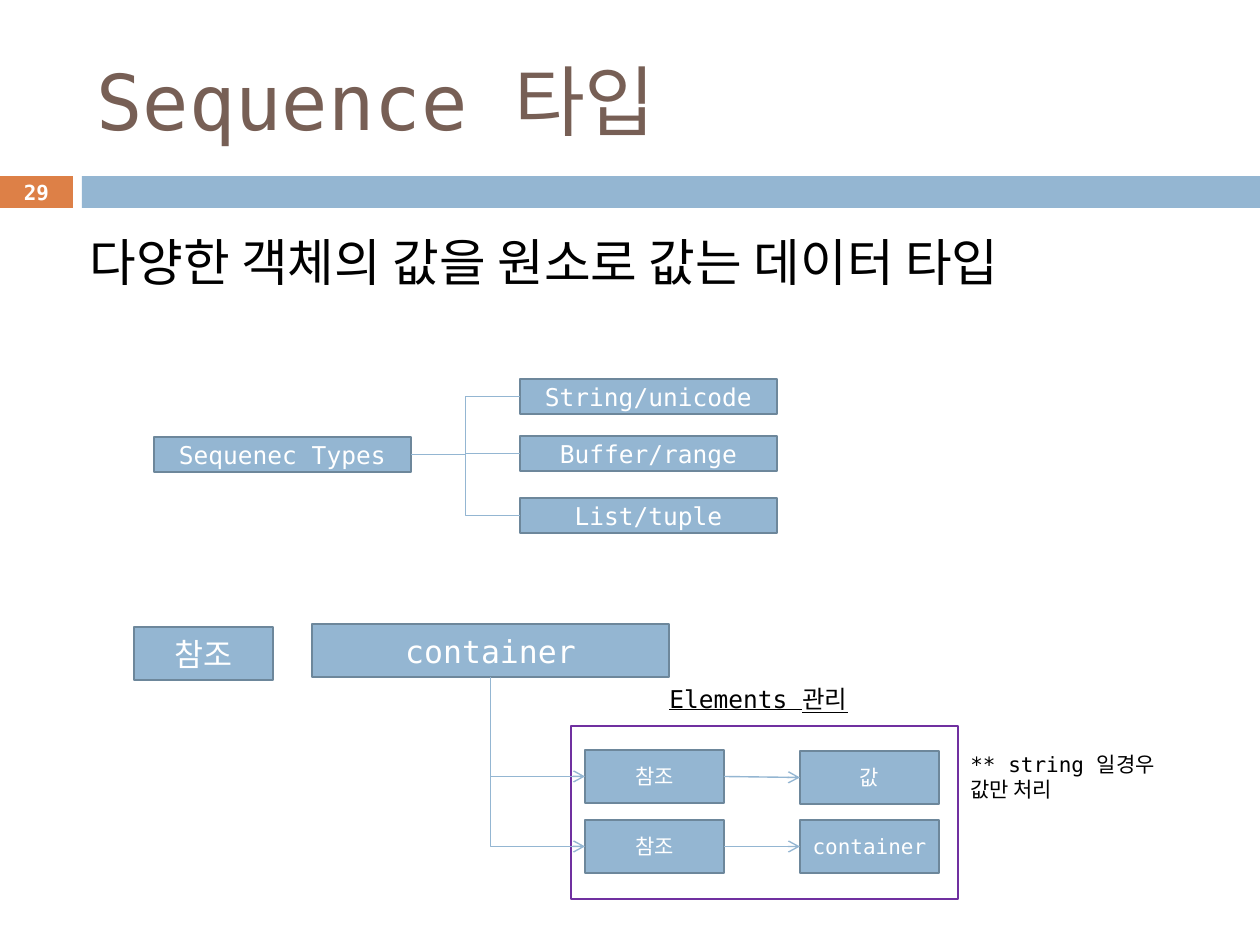
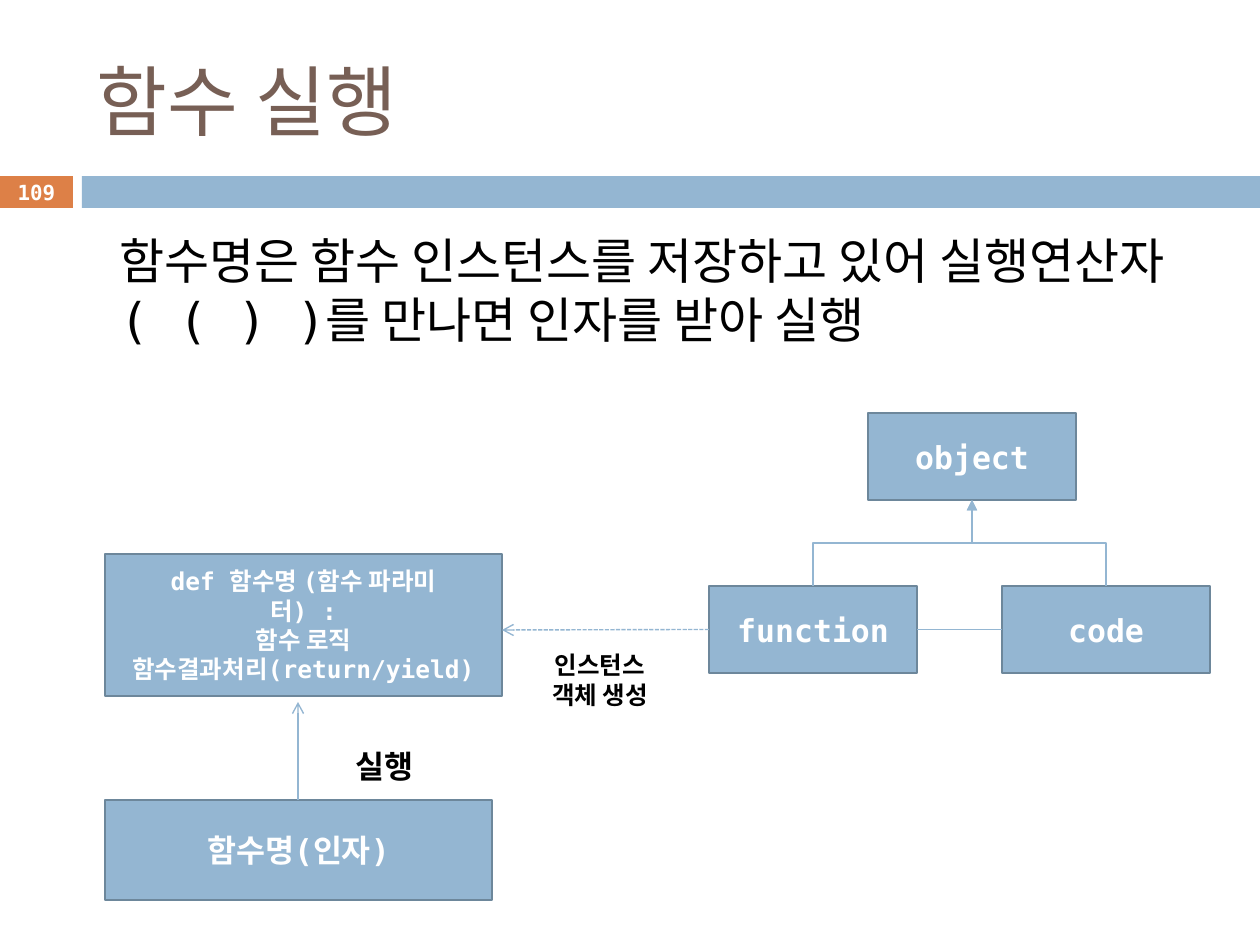
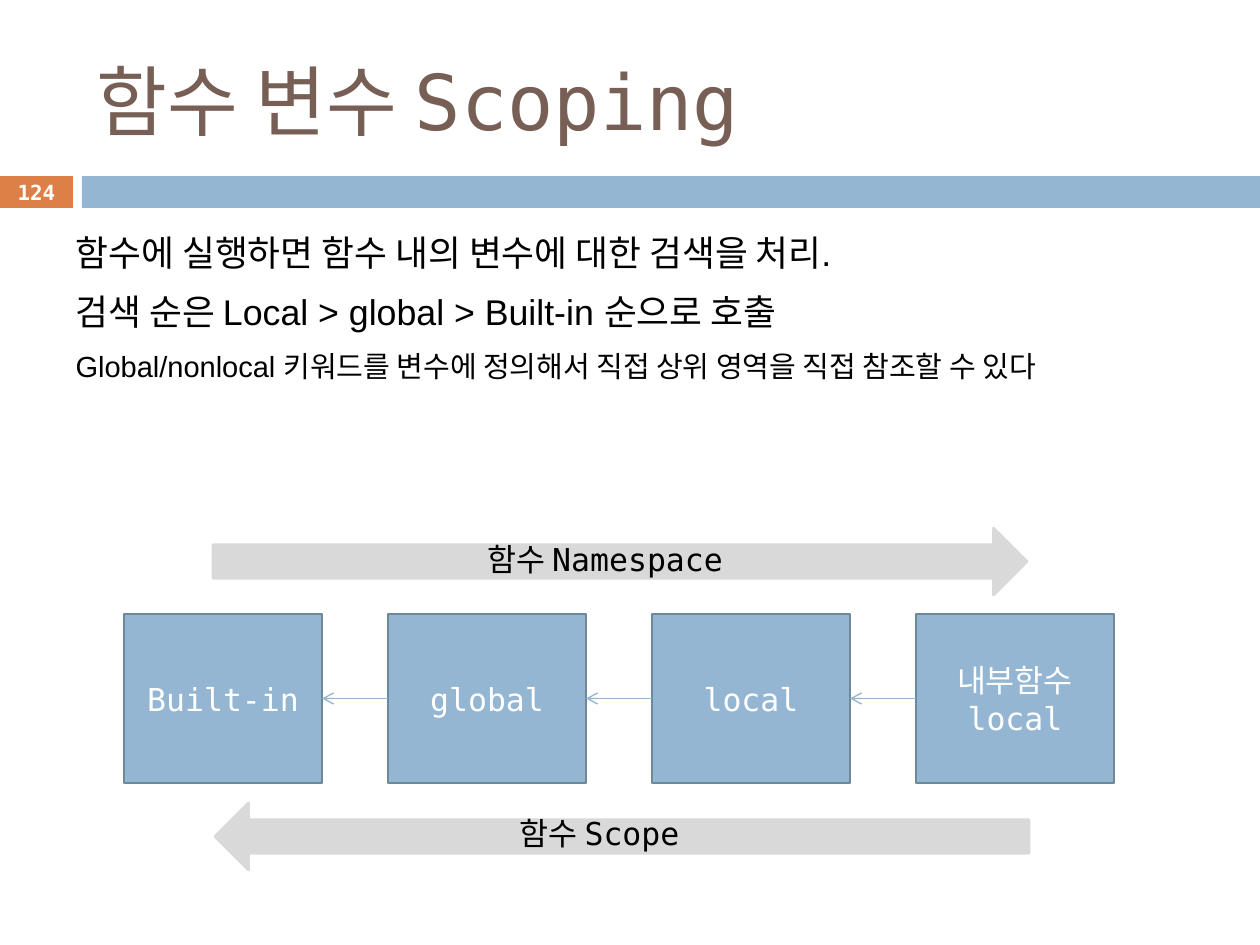
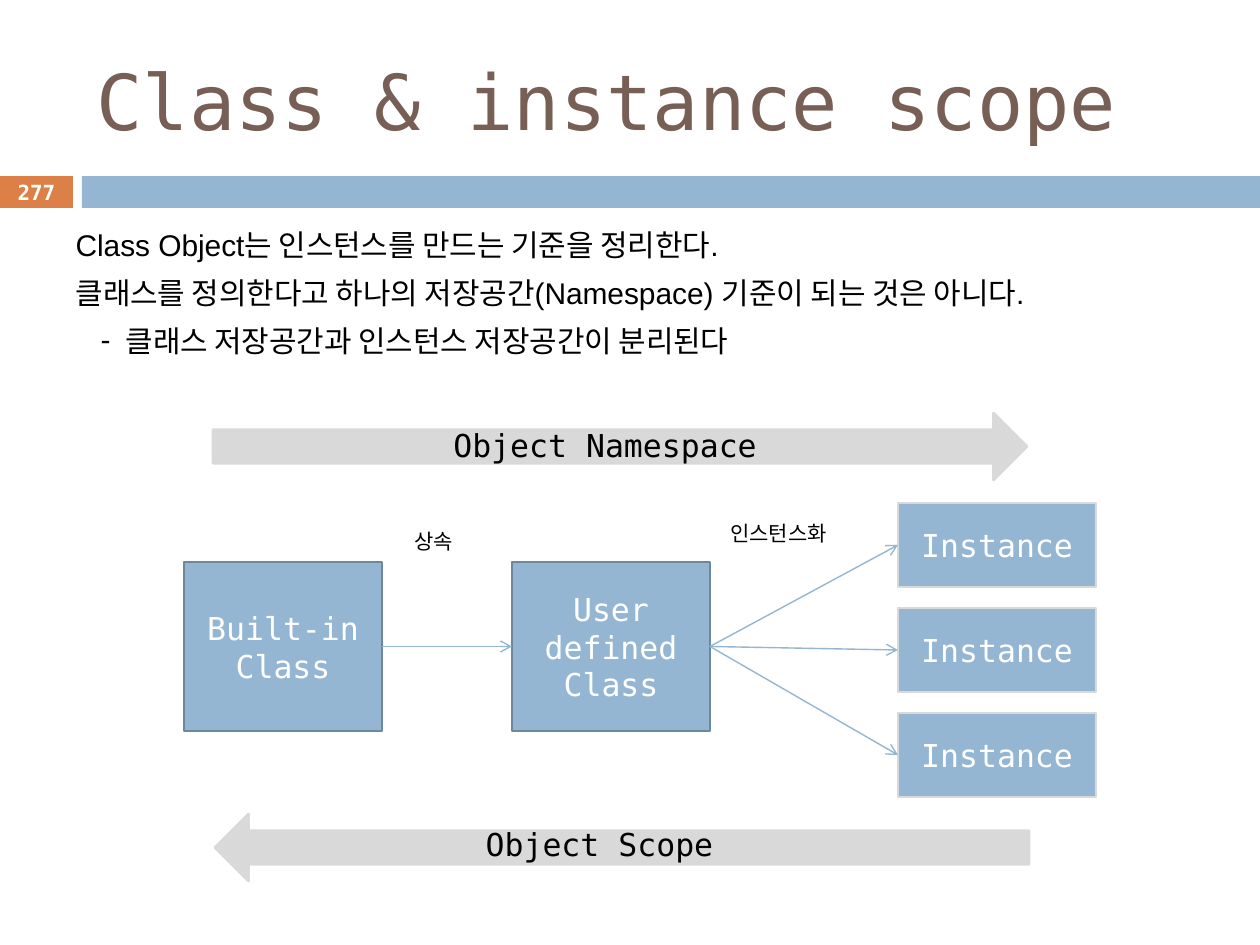
from lxml import etree
from pptx import Presentation
from pptx.dml.color import RGBColor
from pptx.enum.dml import MSO_LINE
from pptx.enum.shapes import MSO_CONNECTOR, MSO_SHAPE
from pptx.enum.text import MSO_ANCHOR, MSO_AUTO_SIZE, PP_ALIGN
from pptx.oxml.ns import qn
from pptx.util import Emu, Pt

RECT, ARROW = MSO_SHAPE.RECTANGLE, MSO_SHAPE.RIGHT_ARROW
STRAIGHT, ELBOW = MSO_CONNECTOR.STRAIGHT, MSO_CONNECTOR.ELBOW
LEFT, CENTER = PP_ALIGN.LEFT, PP_ALIGN.CENTER
TOP, MIDDLE = MSO_ANCHOR.TOP, MSO_ANCHOR.MIDDLE
NO_FIT, DASHED = MSO_AUTO_SIZE.NONE, MSO_LINE.SQUARE_DOT

BLUE = RGBColor(0x94, 0xB6, 0xD2)
EDGE = RGBColor(0x6D, 0x87, 0x9B)
ORANGE = RGBColor(0xDD, 0x80, 0x47)
BROWN = RGBColor(0x77, 0x5F, 0x55)
GREY = RGBColor(0xD9, 0xD9, 0xD9)
PURPLE = RGBColor(0x70, 0x30, 0xA0)
WHITE = RGBColor(0xFF, 0xFF, 0xFF)
BLACK = RGBColor(0, 0, 0)
MONO, SANS = "DejaVu Sans Mono", "Arial"

# Lengths are px, 126 to the inch
SCALE = 914400 / 126
PAGE_SIZE = (1260, 945)
BANDS = [((0, 176, 73, 32), ORANGE), ((82, 176, 1178, 32), BLUE)]
TITLE_RECT = (84, 32, 1124, 136)
NUMBER_RECT = (0, 175, 73, 34)
SIDES = {"top": (0.5, 0), "left": (0, 0.5), "bottom": (0.5, 1), "right": (1, 0.5)}


# ---- Content ----
# body: (text, size, left margin, bullet)
# boxes: name -> (text, rect, size, format)
# links: (start, end, format), an end being (box, side) or a point
# labels: (text, rect, size, alignment, format)
def scope_arrows(top, bottom):
    return [((213, top, 814, 67), 0), ((215, bottom, 814, 67), 180)]


def scope_labels(subject, top, bottom):
    return [(f"{subject} Scope", (461, bottom, 277, 50), 18, CENTER, {}),
            (f"{subject} Namespace", (382, top, 446, 50), 18, CENTER, {})]


HEAD, BOLD = {"head": "arrow"}, {"bold": True}
DOWN = {"bend": "bentConnector2", "turned": True, "head": "arrow"}
UP = {"bend": "bentConnector3", "turned": True, "head": "triangle"}
ACROSS = {"bend": "bentConnector3"}
SCOPES = ["Built-in", "global", "local", "내부함수\nlocal"]

SEQUENCE = {
    "number": 29, "title": "Sequence 타입",
    "body_rect": (63, 224, 1134, 164), "body_font": MONO,
    "body": [("다양한 객체의 값을 원소로 값는 데이터 타입", 29, 14, None)],
    "boxes": {
        "types": ("Sequenec Types", (154, 437, 257, 35), 14, {}),
        "string": ("String/unicode", (520, 379, 257, 35), 14, {}),
        "buffer": ("Buffer/range", (520, 436, 257, 35), 14, {}),
        "list": ("List/tuple", (520, 498, 257, 35), 14, {}),
        "reference": ("참조", (134, 627, 139, 53), 18, {}),
        "container": ("container", (312, 624, 357, 53), 18, {}),
        "reference 1": ("참조", (585, 750, 139, 53), 12, {}),
        "reference 2": ("참조", (585, 820, 139, 53), 12, {}),
        "value 1": ("값", (800, 751, 139, 53), 12, {}),
        "value 2": ("container", (800, 820, 139, 53), 12, {}),
        "elements": ("", (571, 726, 387, 173), 12, {"fill": None, "edge": PURPLE}),
    },
    "links":
        [(("types", "right"), (kind, "left"), ACROSS)
         for kind in ("string", "buffer", "list")]
        + [(("container", "bottom"), (f"reference {row}", "left"), DOWN) for row in (1, 2)]
        + [((f"reference {row}", "right"), (f"value {row}", "left"), HEAD) for row in (1, 2)],
    "labels": [
        ("** string 일경우 값만 처리", (958, 745, 248, 63), 12, LEFT, {}),
        ("Elements 관리", (620, 678, 277, 43), 14, CENTER, {"underline": True}),
    ],
}

FUNCTION_CALL = {
    "number": 109, "title": "함수 실행",
    "body_rect": (63, 224, 1134, 179), "body_font": MONO,
    "body": [("함수명은 함수 인스턴스를 저장하고 있어 실행연산자( ( ) )를 만나면 인자를 받아 실행",
              28, 44, None)],
    "boxes": {
        "call": ("함수명(인자)", (105, 800, 387, 100), 18, BOLD),
        "definition": ("def 함수명 (함수 파라미\n터) :\n함수 로직\n함수결과처리(return/yield)",
                       (105, 554, 397, 142), 14, BOLD),
        "object": ("object", (868, 413, 208, 87), 18, BOLD),
        "function": ("function", (709, 586, 208, 87), 18, BOLD),
        "code": ("code", (1002, 586, 208, 87), 18, BOLD),
    },
    "links": [
        (("function", "top"), ("object", "bottom"), UP),
        (("code", "top"), ("object", "bottom"), UP),
        (("function", "right"), ("code", "left"), {}),
        (("function", "left"), (502, 630), {"head": "arrow", "dash": DASHED}),
        ((298, 800), (298, 702), HEAD),
    ],
    "labels": [
        ("인스턴스\n객체 생성", (491, 644, 218, 72), 14, CENTER, BOLD),
        ("실행", (343, 741, 129, 50), 18, LEFT, BOLD),
    ],
}

VARIABLE_SCOPE = {
    "number": 124, "title": "함수 변수 Scoping",
    "body_rect": (63, 220, 1134, 172), "body_font": SANS, "line_spacing": 1.1,
    "body": [
        ("함수에 실행하면 함수 내의 변수에 대한 검색을 처리.", 20.4, 0, None),
        ("검색 순은 Local > global > Built-in 순으로 호출", 20.4, 0, None),
        ("Global/nonlocal 키워드를 변수에 정의해서 직접 상위 영역을 직접 참조할 수 있다",
         16.6, 0, None),
    ],
    "arrows": scope_arrows(528, 803),
    "boxes": {place: (text, (124 + 264 * place, 614, 198, 169), 18, {})
              for place, text in enumerate(SCOPES)},
    "links": [((place, "left"), (place - 1, "right"), HEAD)
              for place in range(1, len(SCOPES))],
    "labels": scope_labels("함수", 534, 808),
}

CLASS_SCOPE = {
    "number": 277, "title": "Class & instance scope",
    "body_rect": (63, 220, 1134, 172), "body_font": SANS,
    "body": [
        ("Class Object는 인스턴스를 만드는 기준을 정리한다.", 17.1, 0, None),
        ("클래스를 정의한다고 하나의 저장공간(Namespace) 기준이 되는 것은 아니다.",
         17.1, 0, None),
        ("클래스 저장공간과 인스턴스 저장공간이 분리된다", 17.1, 50, "-"),
    ],
    "arrows": scope_arrows(413, 814),
    "boxes": {
        "built-in": ("Built-in\nClass", (184, 562, 198, 169), 18, {}),
        "user": ("User defined\nClass", (512, 562, 198, 169), 18, {}),
        **{row: ("Instance", (898, 503 + 105 * row, 198, 84), 18, {"edge": GREY})
           for row in range(3)},
    },
    "links": [(("built-in", "right"), ("user", "left"), HEAD)]
        + [(("user", "right"), (row, "left"), HEAD) for row in range(3)],
    "labels": [
        ("상속", (402, 522, 110, 38), 12, LEFT, {}),
        ("인스턴스화", (718, 514, 150, 38), 12, LEFT, {}),
        *scope_labels("Object", 420, 819),
    ],
}

PAGES = [SEQUENCE, FUNCTION_CALL, VARIABLE_SCOPE, CLASS_SCOPE]


# ---- Helpers ----
def emu(*lengths):
    return [Emu(round(length * SCALE)) for length in lengths]


def move(box, rect):
    box.left, box.top, box.width, box.height = emu(*rect)


def style(span, size, color, name=MONO, **extra):
    span.font.color.rgb = color
    for key, value in {"size": Pt(size), "name": name, **extra}.items():
        setattr(span.font, key, value)


def write(box, text, size, color, align=CENTER, anchor=MIDDLE, **extra):
    frame = box.text_frame
    frame.text = text
    for key, value in {"word_wrap": True, "auto_size": NO_FIT,
                       "vertical_anchor": anchor}.items():
        setattr(frame, key, value)
    for para in frame.paragraphs:
        para.alignment = align
        for span in para.runs:
            style(span, size, color, **extra)


def add_block(page, kind, rect, fill, edge=None):
    block = page.shapes.add_shape(kind, *emu(*rect))
    block.shadow.inherit = False
    if fill is None:
        block.fill.background()
    else:
        block.fill.solid()
        block.fill.fore_color.rgb = fill
    if edge is None:
        block.line.fill.background()
    else:
        block.line.color.rgb = edge
        block.line.width = Pt(1.5)
    return block


def add_box(page, text, rect, size, fill=BLUE, edge=EDGE, **extra):
    box = add_block(page, RECT, rect, fill, edge)
    if text:
        write(box, text, size, WHITE, **extra)


def add_label(page, text, rect, size, align, anchor=TOP, color=BLACK, **extra):
    box = page.shapes.add_textbox(*emu(*rect))
    write(box, text, size, color, align, anchor, **extra)


def locate(boxes, end):
    name, side = end
    if side not in SIDES:
        return end
    left, top, width, height = boxes[name][1]
    across, down = SIDES[side]
    return left + across * width, top + down * height


def add_link(page, start, end, bend=None, turned=False, head=None, dash=None):
    (x0, y0), (x1, y1) = start, end
    if turned:
        # Frame before the quarter turn that makes the elbow leave vertically
        mid_x, mid_y, half_x, half_y = (x0 + x1) / 2, (y0 + y1) / 2, (x1 - x0) / 2, (y1 - y0) / 2
        x0, y0, x1, y1 = mid_x + half_y, mid_y - half_x, mid_x - half_y, mid_y + half_x
    link = page.shapes.add_connector(ELBOW if bend else STRAIGHT, *emu(x0, y0, x1, y1))
    link.line.color.rgb = BLUE
    link.line.width = Pt(0.79)
    if dash:
        link.line.dash_style = dash
    props = link.element.spPr
    if bend:
        props.find(qn("a:prstGeom")).set("prst", bend)
    if turned:
        props.find(qn("a:xfrm")).set("rot", str(270 * 60000))
    if head:
        etree.SubElement(props.find(qn("a:ln")), qn("a:tailEnd"), type=head)
    etree.SubElement(props, qn("a:effectLst"))


def fill_body(body, content):
    move(body, content["body_rect"])
    lines = content["body"]
    write(body, "\n".join(line[0] for line in lines), lines[0][1], BLACK, LEFT, TOP)
    for place, (para, line) in enumerate(zip(body.text_frame.paragraphs, lines)):
        _, size, margin, bullet = line
        para.line_spacing = content.get("line_spacing", 1.0)
        para.space_before = Pt(7 if place else 0)
        props = para._p.get_or_add_pPr()
        indent = -25 if bullet else 0
        for key, value in zip(("marL", "indent"), emu(margin, indent)):
            props.set(key, str(value))
        if bullet:
            etree.SubElement(props, qn("a:buChar"), char=bullet)
        else:
            etree.SubElement(props, qn("a:buNone"))
        for span in para.runs:
            style(span, size, BLACK, content["body_font"])


def add_page(deck, layout, content):
    page = deck.slides.add_slide(layout)
    write(page.shapes.title, content["title"], 44, BROWN, LEFT)
    fill_body(page.placeholders[1], content)
    for rect, turn in content.get("arrows", []):
        add_block(page, ARROW, rect, GREY, GREY).rotation = turn
    boxes = content["boxes"]
    for text, rect, size, extra in boxes.values():
        add_box(page, text, rect, size, **extra)
    for start, end, extra in content["links"]:
        add_link(page, locate(boxes, start), locate(boxes, end), **extra)
    for text, rect, size, align, extra in content["labels"]:
        add_label(page, text, rect, size, align, **extra)
    add_label(page, str(content["number"]), NUMBER_RECT, 11.9, CENTER, MIDDLE, WHITE, bold=True)
    return page


def main():
    deck = Presentation()
    deck.slide_width, deck.slide_height = emu(*PAGE_SIZE)
    layout = deck.slide_layouts[1]
    move(layout.placeholders[0], TITLE_RECT)
    pages = [add_page(deck, layout, content) for content in PAGES]
    # The bands belong to the layout, behind its placeholders
    for rect, color in BANDS:
        layout.shapes.element.insert(2, add_block(pages[0], RECT, rect, color).element)
    deck.save("out.pptx")


if __name__ == "__main__":
    main()
